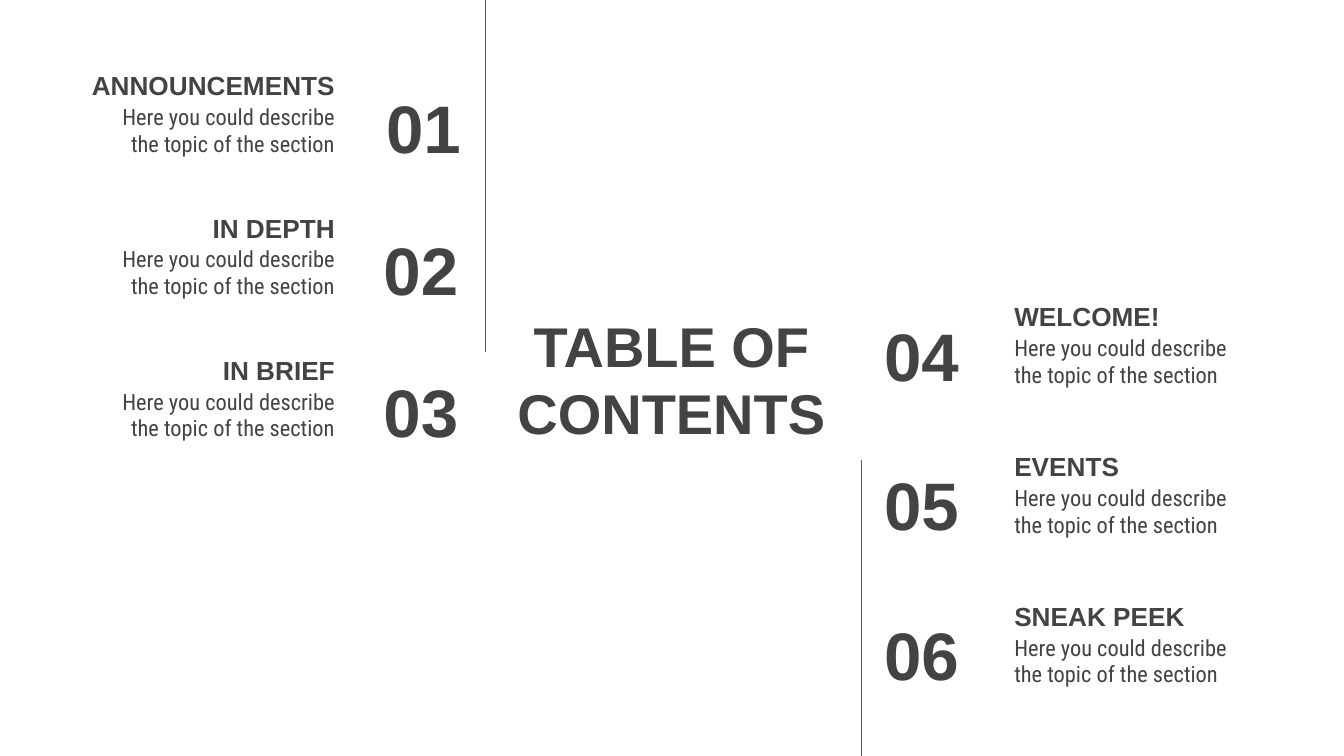
from dataclasses import dataclass

from lxml.etree import SubElement
from pptx import Presentation
from pptx.dml.color import RGBColor
from pptx.enum.shapes import MSO_CONNECTOR
from pptx.enum.text import MSO_ANCHOR as ANCHOR, MSO_AUTO_SIZE, PP_ALIGN as ALIGN
from pptx.oxml.ns import qn
from pptx.util import Cm, Pt


@dataclass(frozen=True)
class Theme:
    ink: RGBColor = RGBColor(0x43, 0x43, 0x43)
    rule: RGBColor = RGBColor(0x59, 0x59, 0x59)
    display: str = "Arial"
    body: str = "Roboto Condensed"
    title_size: Pt = Pt(30)
    number_size: Pt = Pt(36)
    heading_size: Pt = Pt(14)
    body_size: Pt = Pt(12)


theme = Theme()


def write(sp, text, size, align, anchor, font=theme.display, bold=True):
    """Put one styled paragraph into a text box or placeholder."""
    tf = sp.text_frame
    tf.word_wrap = True
    tf.auto_size = MSO_AUTO_SIZE.NONE
    tf.vertical_anchor = anchor
    tf.margin_left = tf.margin_right = tf.margin_top = tf.margin_bottom = Cm(0.25)
    p = tf.paragraphs[0]
    p.alignment = align
    p.line_spacing = 1.0
    r = p.add_run()
    r.text = text
    r.font.name = font
    r.font.size = size
    r.font.bold = bold
    r.font.color.rgb = theme.ink


prs = Presentation()
prs.slide_width, prs.slide_height = Cm(25.4), Cm(14.29)
s = prs.slides.add_slide(prs.slide_layouts[5])

title = s.shapes.title
title.left, title.top, title.width, title.height = Cm(9.4), Cm(5.84), Cm(6.58), Cm(2.62)
write(title, "TABLE OF CONTENTS", theme.title_size, ALIGN.CENTER, ANCHOR.MIDDLE)

# Each column: alignment, heading left, body left, first top, row pitch,
# number width, number drop below the heading, then (number, number left, heading)
columns = [
    (ALIGN.RIGHT, 1.09, 1.93, 0.56, 2.69, 3.07, 1.03,
     [("01", 5.89, "ANNOUNCEMENTS"), ("02", 5.84, "IN DEPTH"), ("03", 5.84, "IN BRIEF")]),
    (ALIGN.LEFT, 18.92, 18.92, 4.93, 2.83, 2.97, 0.97,
     [("04", 16.46, "WELCOME!"), ("05", 16.46, "EVENTS"), ("06", 16.46, "SNEAK PEEK")]),
]
row_height = Cm(1.6)

for align, heading_x, body_x, first_top, pitch, number_w, number_drop, sections in columns:
    for i, (number, number_x, heading) in enumerate(sections):
        top = first_top + i * pitch
        sp = s.shapes.add_textbox(Cm(heading_x), Cm(top), Cm(5.49), row_height)
        write(sp, heading, theme.heading_size, align, ANCHOR.BOTTOM)
        sp = s.shapes.add_textbox(Cm(body_x), Cm(top + 1.14), Cm(4.65), row_height)
        write(sp, "Here you could describe the topic of the section",
              theme.body_size, align, ANCHOR.TOP, theme.body, False)
        sp = s.shapes.add_textbox(Cm(number_x), Cm(top + number_drop), Cm(number_w), row_height)
        write(sp, number, theme.number_size, align, ANCHOR.MIDDLE)

for x, top, bottom in [(9.17, 0, 6.65), (16.28, 8.69, 14.29)]:
    line = s.shapes.add_connector(MSO_CONNECTOR.STRAIGHT, Cm(x), Cm(top), Cm(x), Cm(bottom))
    line.line.color.rgb = theme.rule
    line.line.width = Pt(0.75)
    SubElement(line._element.spPr, qn("a:effectLst"))

prs.save("out.pptx")
